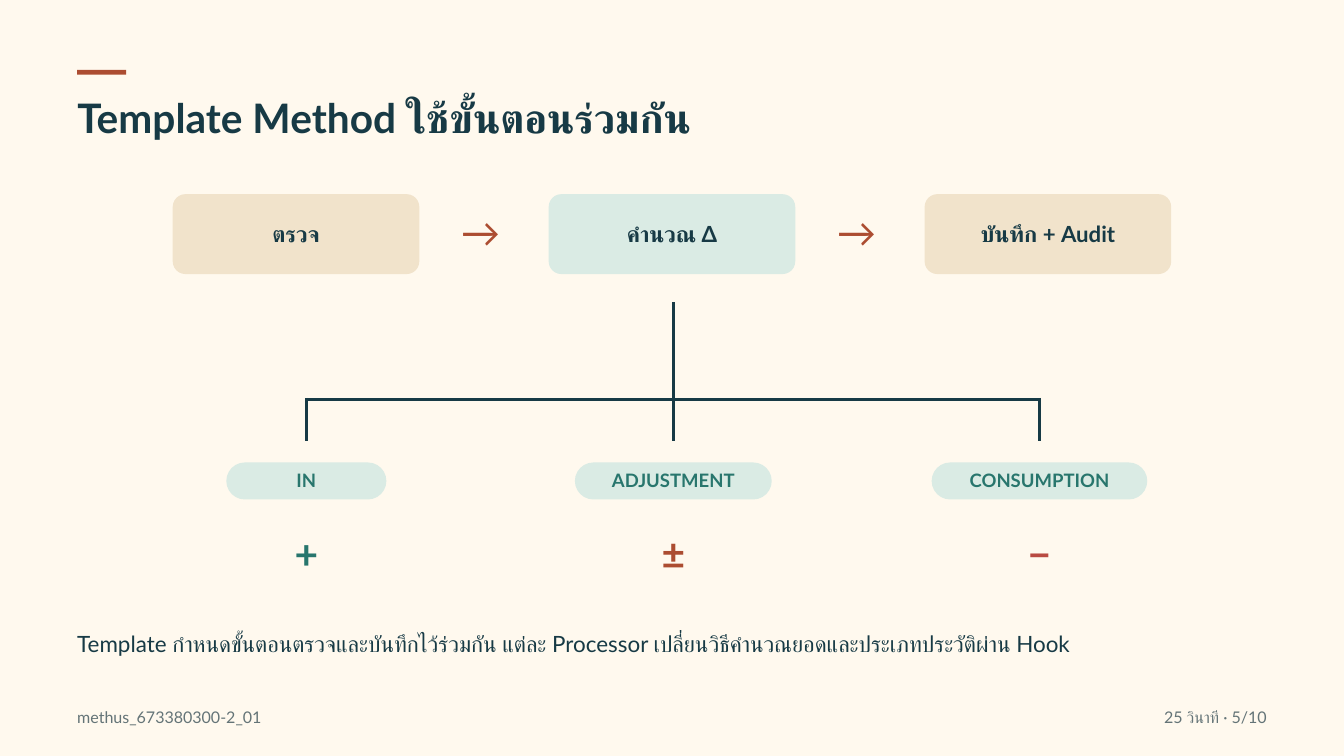
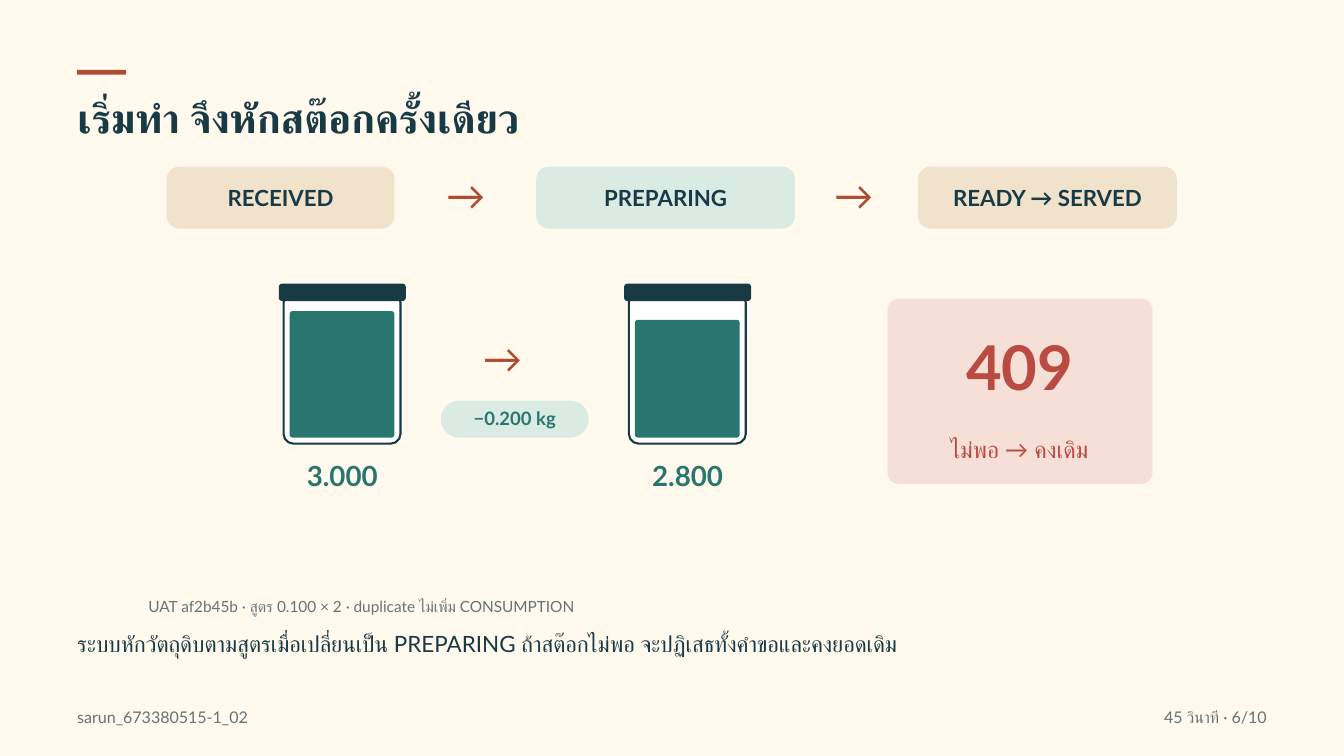
"""Build two slides on the template method and the stock deduction flow."""
from lxml.etree import SubElement
from pptx import Presentation
from pptx.dml.color import RGBColor as Rgb
from pptx.enum.shapes import MSO_CONNECTOR as Connector, MSO_SHAPE as Preset
from pptx.enum.text import MSO_ANCHOR as Anchor, MSO_AUTO_SIZE as AutoSize, PP_ALIGN as Align
from pptx.oxml.ns import qn
from pptx.util import Cm, Pt

FONT = "Lato"
LINE_RATIO = 1.34
COLOURS = {
    "paper": "FFF9EE",
    "ink": "173A45",
    "rust": "AC4D31",
    "sand": "F1E3CB",
    "mint": "DAEBE4",
    "teal": "28766D",
    "red": "B94B42",
    "blush": "F6DFD6",
    "grey": "647477",
    "white": "FFFFFF",
}
STYLES = {
    "title": {"size": 43.5, "bold": True, "align": Align.LEFT},
    "step": {"size": 23.8, "bold": True, "align": Align.CENTER},
    "pill": {"size": 19.8, "bold": True, "align": Align.CENTER},
    "arrow": {"size": 42.2, "bold": False, "align": Align.CENTER},
    "sign": {"size": 43.6, "bold": True, "align": Align.CENTER},
    "amount": {"size": 29.7, "bold": True, "align": Align.CENTER},
    "code": {"size": 66, "bold": True, "align": Align.CENTER},
    "outcome": {"size": 25.1, "bold": False, "align": Align.CENTER},
    "evidence": {"size": 16.5, "bold": False, "align": Align.LEFT},
    "note": {"size": 24, "bold": False, "align": Align.LEFT},
    "footer": {"size": 17.2, "bold": False, "align": Align.LEFT},
    "counter": {"size": 17.2, "bold": False, "align": Align.RIGHT},
}
STEP_RADIUS = 0.48
PILL_HEIGHT = 1.4
PILL_RADIUS = PILL_HEIGHT / 2


def write(shape, text, style, colour, centred=False):
    values = STYLES[style]
    frame = shape.text_frame
    frame_format = {
        "margin_left": 0,
        "margin_top": 0,
        "margin_right": 0,
        "margin_bottom": Cm(0.15) if centred else 0,
        "word_wrap": True,
        "vertical_anchor": Anchor.MIDDLE if centred else Anchor.TOP,
        "auto_size": AutoSize.NONE if centred else AutoSize.SHAPE_TO_FIT_TEXT,
    }
    for name, value in frame_format.items():
        setattr(frame, name, value)
    paragraph = frame.paragraphs[0]
    paragraph.alignment = values["align"]
    paragraph.line_spacing = Pt(round(values["size"] * LINE_RATIO, 1))
    run = paragraph.add_run()
    run.text = text
    font_format = {"name": FONT, "size": Pt(values["size"]), "bold": values["bold"]}
    for name, value in font_format.items():
        setattr(run.font, name, value)
    run.font.color.rgb = Rgb.from_string(COLOURS[colour])
    for tag in ("a:ea", "a:cs"):
        SubElement(run.font._element, qn(tag)).set("typeface", FONT)


def add_block(slide, box, fill, radius=0, outline=None):
    preset = Preset.ROUNDED_RECTANGLE if radius else Preset.RECTANGLE
    shape = slide.shapes.add_shape(preset, *map(Cm, box))
    shape.shadow.inherit = False
    shape.fill.solid()
    shape.fill.fore_color.rgb = Rgb.from_string(COLOURS[fill])
    if radius:
        shape.adjustments[0] = radius / min(box[2:])
    if outline:
        shape.line.color.rgb = Rgb.from_string(COLOURS[outline])
        shape.line.width = Pt(2.25)
    else:
        shape.line.fill.background()
    return shape


presentation = Presentation()
presentation.slide_width = Cm(50.8)
presentation.slide_height = Cm(28.575)
background = presentation.slide_master.background.fill
background.solid()
background.fore_color.rgb = Rgb.from_string(COLOURS["paper"])

pages = [
    (
        "Template Method ใช้ขั้นตอนร่วมกัน",
        "Template กำหนดขั้นตอนตรวจและบันทึกไว้ร่วมกัน แต่ละ Processor "
        "เปลี่ยนวิธีคำนวณยอดและประเภทประวัติผ่าน Hook",
        "methus_673380300-2_01",
        "25 วินาที · 5/10",
    ),
    (
        "เริ่มทำ จึงหักสต๊อกครั้งเดียว",
        "ระบบหักวัตถุดิบตามสูตรเมื่อเปลี่ยนเป็น PREPARING ถ้าสต๊อกไม่พอ "
        "จะปฏิเสธทั้งคำขอและคงยอดเดิม",
        "sarun_673380515-1_02",
        "45 วินาที · 6/10",
    ),
]
for title_text, note, author, counter in pages:
    slide = presentation.slides.add_slide(presentation.slide_layouts[5])
    add_block(slide, (2.92, 2.64, 1.85, 0.18), "rust")
    title = slide.shapes.title
    title_place = {"left": 2.92, "top": 3.28, "width": 45.24, "height": 2.21}
    for name, value in title_place.items():
        setattr(title, name, Cm(value))
    write(title, title_text, "title", "ink")
    for text, style, colour, box in [
        (note, "note", "ink", (2.92, 23.7, 44.98, 2.36)),
        (author, "footer", "grey", (2.92, 26.67, 33.07, 0.86)),
        (counter, "counter", "grey", (38.89, 26.67, 8.99, 0.86)),
    ]:
        write(slide.shapes.add_textbox(*map(Cm, box)), text, style, colour)

method_slide, stock_slide = presentation.slides

step_pitch = 14.21
for index, (text, fill) in enumerate(
    [("ตรวจ", "sand"), ("คำนวณ Δ", "mint"), ("บันทึก + Audit", "sand")]
):
    box = (6.53 + index * step_pitch, 7.34, 9.32, 3.02)
    write(add_block(method_slide, box, fill, STEP_RADIUS), text, "step", "ink", True)
for index in range(2):
    box = (16.54 + index * step_pitch, 7.65, 3.25, 2.16)
    write(method_slide.shapes.add_textbox(*map(Cm, box)), "→", "arrow", "rust")

branch_centres = (11.58, 25.45, 39.29)
branch_lines = [(25.45, 11.43, 25.45, 15.04), (11.53, 15.09, 39.34, 15.09)]
branch_lines += [(centre, 15.04, centre, 16.66) for centre in branch_centres]
for ends in branch_lines:
    line = method_slide.shapes.add_connector(Connector.STRAIGHT, *map(Cm, ends))
    line.line.color.rgb = Rgb.from_string(COLOURS["ink"])
    line.line.width = Pt(2.75)
    SubElement(line._element.spPr, qn("a:effectLst"))

hooks = [
    ("IN", 6.05, "+", "teal"),
    ("ADJUSTMENT", 7.44, "±", "rust"),
    ("CONSUMPTION", 8.15, "−", "red"),
]
for centre, (text, width, sign, colour) in zip(branch_centres, hooks):
    box = (centre - width / 2, 17.48, width, PILL_HEIGHT)
    write(add_block(method_slide, box, "mint", PILL_RADIUS), text, "pill", "teal", True)
    sign_box = (centre - 1.51, 19.76, 3.02, 2.21)
    write(method_slide.shapes.add_textbox(*map(Cm, sign_box)), sign, "sign", colour)

for text, fill, left, width in [
    ("RECEIVED", "sand", 6.3, 8.61),
    ("PREPARING", "mint", 20.27, 9.78),
    ("READY → SERVED", "sand", 34.7, 9.78),
]:
    status = add_block(stock_slide, (left, 6.3, width, 2.34), fill, STEP_RADIUS)
    write(status, text, "step", "ink", True)

jar_bottom = 16.54
for amount, left, level_top in [("3.000", 10.72, 11.76), ("2.800", 23.77, 12.09)]:
    add_block(stock_slide, (left, 11.07, 4.42, 5.7), "white", 0.37, "ink")
    level = (left + 0.23, level_top, 3.96, jar_bottom - level_top)
    add_block(stock_slide, level, "teal", 0.11)
    add_block(stock_slide, (left - 0.18, 10.72, 4.8, 0.66), "ink", 0.13)
    amount_box = (left - 0.46, 17.2, 5.36, 1.5)
    write(stock_slide.shapes.add_textbox(*map(Cm, amount_box)), amount, "amount", "teal")

deduction = add_block(stock_slide, (16.66, 15.14, 5.59, PILL_HEIGHT), "mint", PILL_RADIUS)
write(deduction, "−0.200 kg", "pill", "teal", True)
add_block(stock_slide, (33.55, 11.3, 10.01, 6.99), "blush", 0.41)
for text, style, colour, box in [
    ("→", "arrow", "rust", (15.85, 6.25, 3.51, 2.16)),
    ("→", "arrow", "rust", (30.76, 6.25, 3.02, 2.16)),
    ("→", "arrow", "rust", (17.02, 12.42, 3.96, 2.16)),
    ("409", "code", "red", (35.05, 12.12, 6.99, 3.35)),
    ("ไม่พอ → คงเดิม", "outcome", "red", (33.3, 16.31, 10.46, 1.3)),
    (
        "UAT af2b45b · สูตร 0.100 × 2 · duplicate ไม่เพิ่ม CONSUMPTION",
        "evidence",
        "grey",
        (5.61, 22.5, 39.57, 0.86),
    ),
]:
    write(stock_slide.shapes.add_textbox(*map(Cm, box)), text, style, colour)

presentation.save("out.pptx")
